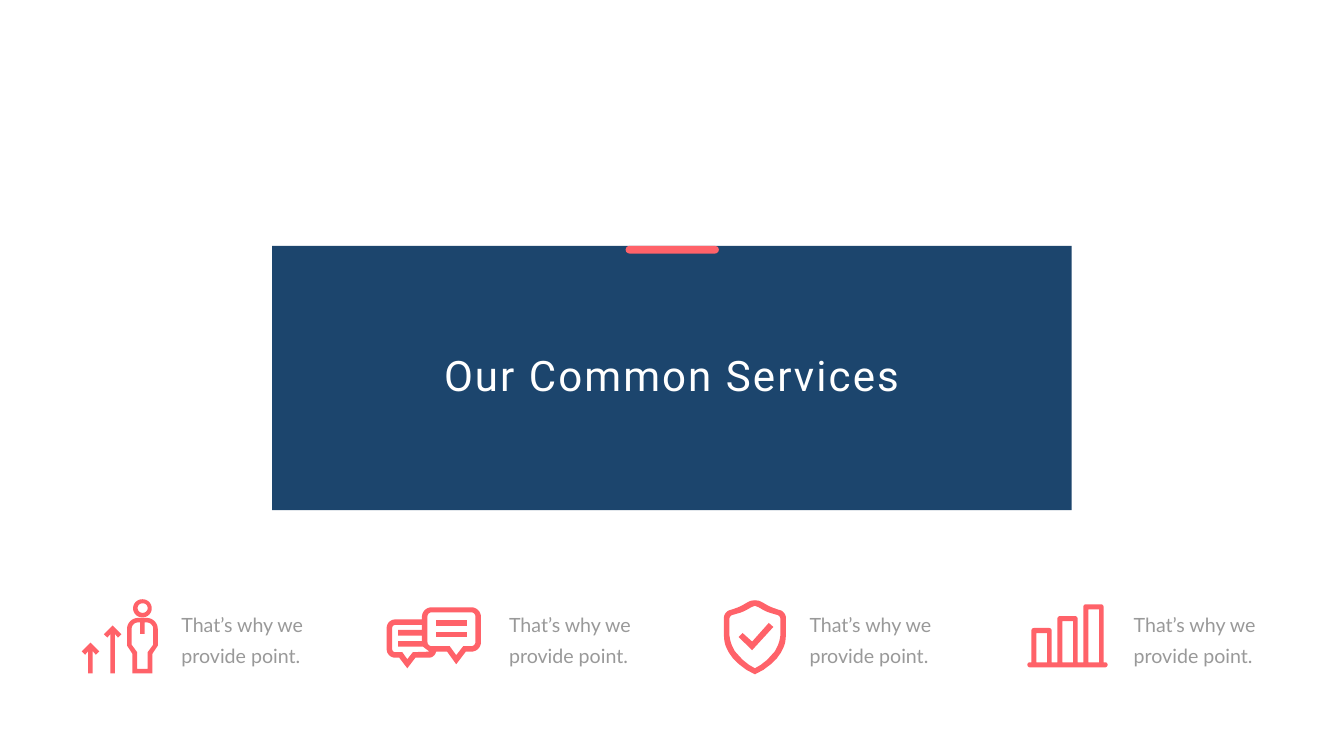
from math import hypot

from pptx import Presentation
from pptx.dml.color import RGBColor
from pptx.enum.shapes import MSO_SHAPE
from pptx.enum.text import PP_ALIGN
from pptx.util import Inches, Pt

RECTANGLE, PILL = MSO_SHAPE.RECTANGLE, MSO_SHAPE.ROUNDED_RECTANGLE
LEFT, CENTER = PP_ALIGN.LEFT, PP_ALIGN.CENTER
COLORS = {"navy": "1C456D", "coral": "FF6269", "gray": "999999", "white": "FFFFFF"}
CURVE_STEPS = 8
ARC = 0.5523  # cubic handle length for a quarter circle


# Outlines are lists of (x, y) or (x, y, corner radius), in inches
def mirror(center, half):
    """Close a half outline, given as offsets from a vertical axis."""
    left = [(center + x, *rest) for x, *rest in half]
    right = [(center - x, *rest) for x, *rest in reversed(half)]
    return left + right


def box(x, y, width, height, radius=0):
    return [(x, y, radius), (x + width, y, radius),
            (x + width, y + height, radius), (x, y + height, radius)]


def arrow(center, top, bottom):
    return mirror(center, [(0, top), (-0.175, top + 0.175), (-0.105, top + 0.24),
                           (-0.045, top + 0.17), (-0.045, bottom)])


def bar_chart(left, right, base, top, count=3):
    skyline, holes = [], []
    for i in range(count):
        x, y = left + 0.08 + 0.515 * i, top - 0.235 * i
        skyline += [(x, base), (x, y, 0.05), (x + 0.4, y, 0.05), (x + 0.4, base)]
        holes.append(box(x + 0.1, y + 0.1, 0.21, base - y - 0.1))
    foot = [(right, base, 0.05), (right, base + 0.1, 0.05),
            (left, base + 0.1, 0.05), (left, base, 0.05)]
    return [skyline + foot] + holes


# Each icon is a list of parts; each part is an outline followed by its holes
growth_icon = [
    [mirror(2.825, [(-0.305, 12.26, 0.22), (-0.305, 12.81), (-0.2, 12.97), (-0.2, 13.36)]),
     mirror(2.825, [(-0.045, 12.58), (-0.045, 12.35), (-0.215, 12.35, 0.13),
                    (-0.215, 12.79), (-0.105, 12.94), (-0.105, 13.27)])],
    [box(2.64, 11.89, 0.37, 0.36, 0.18), box(2.73, 11.97, 0.2, 0.19, 0.095)],
    [arrow(2.235, 12.41, 13.36)],
    [arrow(1.795, 12.75, 13.36)],
]
chat_icon = [
    [[(9.54, 12.05, 0.19), (9.54, 12.93, 0.19), (9.24, 12.93), (9.05, 13.18),
      (8.87, 12.93), (8.65, 12.93), (8.62, 13.05, 0.11), (8.24, 13.05),
      (8.08, 13.26), (7.92, 13.05), (7.67, 13.05, 0.17), (7.67, 12.29, 0.17),
      (8.37, 12.29), (8.37, 12.05, 0.19)],
     [(9.43, 12.15, 0.08), (9.43, 12.82, 0.08), (9.19, 12.82), (9.05, 13),
      (8.92, 12.82), (8.48, 12.82, 0.08), (8.48, 12.15, 0.08)],
     [(8.19, 12.94), (8.08, 13.08), (7.98, 12.94), (7.78, 12.94, 0.06),
      (7.78, 12.4, 0.06), (8.37, 12.4), (8.37, 12.5), (7.9, 12.5), (7.9, 12.61),
      (8.37, 12.61), (8.37, 12.72), (7.9, 12.72), (7.9, 12.83), (8.39, 12.83),
      (8.52, 12.93)]],
    [box(8.64, 12.31, 0.63, 0.11)],
    [box(8.64, 12.53, 0.63, 0.11)],
]
shield_icon = [
    [[(14.92, 12.73), (14.73, 12.56), (14.65, 12.64), (14.92, 12.9),
      (15.34, 12.44), (15.25, 12.36)]],
    [mirror(14.975, [(0, 11.91), (-0.08, 11.92), (-0.145, 11.95), (-0.3, 12.04, 0.08),
                     (-0.475, 12.1), (-0.615, 12.13, 0.13), (-0.615, 12.61),
                     (-0.6, 12.78, 0.08), (-0.515, 12.95), (-0.43, 13.07),
                     (-0.315, 13.18), (-0.17, 13.29), (0, 13.38)]),
     mirror(14.975, [(0, 12.02), (-0.075, 12.05), (-0.23, 12.14, 0.08),
                     (-0.505, 12.22, 0.06), (-0.505, 12.61), (-0.48, 12.76, 0.08),
                     (-0.4, 12.92), (-0.245, 13.09), (-0.12, 13.19), (0, 13.26)])],
]
chart_icon = [bar_chart(20.38, 21.97, 13.14, 12.46)]

TITLE = "Our Common Services"
SERVICES = [  # icon, text left, text
    (growth_icon, 3.5, "That’s why we provide point."),
    (chat_icon, 10, "That’s why we provide point."),
    (shield_icon, 15.96, "That’s why we provide point."),
    (chart_icon, 22.39, "That’s why we provide point."),
]


def paint(shape, color):
    shape.shadow.inherit = False
    shape.fill.solid()
    shape.fill.fore_color.rgb = RGBColor.from_string(COLORS[color])
    shape.line.fill.background()


def toward(start, end, distance):
    length = hypot(end[0] - start[0], end[1] - start[1])
    return tuple(s + (e - s) * distance / length for s, e in zip(start, end))


def round_corners(outline):
    """Replace each corner that has a radius by points along its curve."""
    points = []
    for i, (x, y, *radius) in enumerate(outline):
        corner = (x, y)
        if not radius or not radius[0]:
            points.append(corner)
            continue
        before, after = outline[i - 1][:2], outline[(i + 1) % len(outline)][:2]
        a, d = toward(corner, before, radius[0]), toward(corner, after, radius[0])
        b = toward(a, corner, radius[0] * ARC)
        c = toward(d, corner, radius[0] * ARC)
        for step in range(CURVE_STEPS + 1):
            t = step / CURVE_STEPS
            u = 1 - t
            points.append(tuple(
                u**3 * p + 3 * u * u * t * q + 3 * u * t * t * r + t**3 * s
                for p, q, r, s in zip(a, b, c, d)))
    return points


def add_outline(shapes, contours, color):
    builder = None
    for contour in contours:
        first, *others = [(Inches(x), Inches(y)) for x, y in round_corners(contour)]
        if builder is None:
            builder = shapes.build_freeform(*first)
        else:
            builder.move_to(*first)
        builder.add_line_segments(others, close=True)
    paint(builder.convert_to_shape(), color)


def add_block(shapes, kind, left, top, width, height, color):
    block = shapes.add_shape(kind, Inches(left), Inches(top), Inches(width), Inches(height))
    paint(block, color)
    return block


def add_text(shapes, text, left, top, width, height, *, font, size, color,
             align=LEFT, line_spacing=None, letter_spacing=None):
    frame = shapes.add_textbox(Inches(left), Inches(top), Inches(width),
                               Inches(height)).text_frame
    frame.word_wrap = True
    paragraph = frame.paragraphs[0]
    paragraph.alignment = align
    if line_spacing:
        paragraph.line_spacing = Pt(line_spacing)
    run = paragraph.add_run()
    run.text = text
    run.font.name = font
    run.font.size = Pt(size)
    run.font.color.rgb = RGBColor.from_string(COLORS[color])
    if letter_spacing:
        run.font._element.set("spc", str(letter_spacing * 100))


def main():
    deck = Presentation()
    deck.slide_width, deck.slide_height = Inches(26.66), Inches(15)
    slide = deck.slides.add_slide(deck.slide_layouts[6])

    # Title banner with its accent
    add_block(slide.shapes, RECTANGLE, 5.4, 4.88, 15.86, 5.24, "navy")
    add_text(slide.shapes, TITLE, 7.93, 6.88, 10.79, 1.11, font="Roboto", size=60,
             color="white", align=CENTER, letter_spacing=3)
    accent = add_block(slide.shapes, PILL, 12.41, 4.88, 1.85, 0.15, "coral")
    accent.adjustments[0] = 0.5

    # Row of services
    for icon, text_left, text in SERVICES:
        service = slide.shapes.add_group_shape()
        for part in icon:
            add_outline(service.shapes, part, "coral")
        add_text(service.shapes, text, text_left, 11.99, 2.82, 1.25, font="Lato",
                 size=28, color="gray", line_spacing=43)

    deck.save("out.pptx")


if __name__ == "__main__":
    main()
